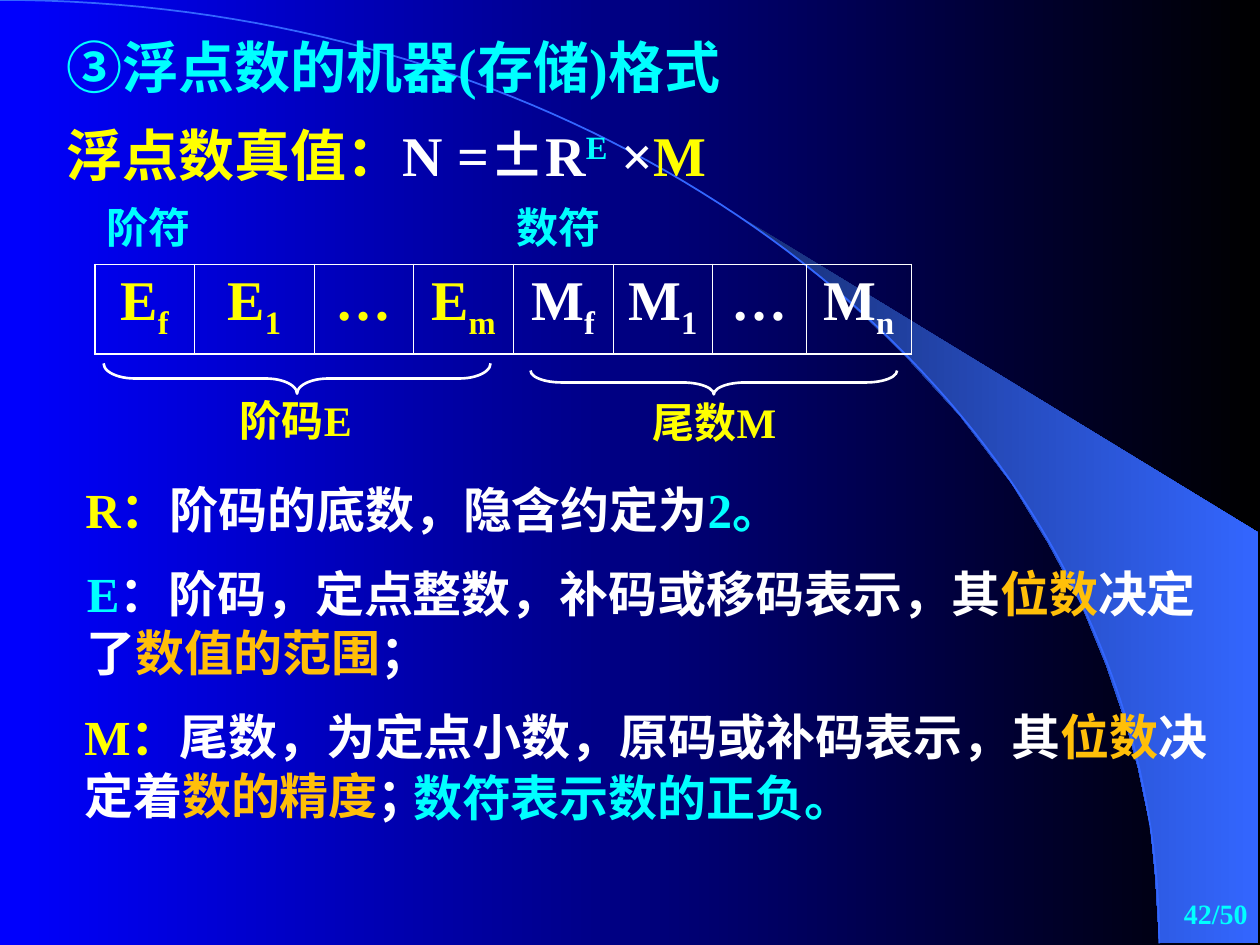
"""Build the slide on the machine storage format of floating-point numbers."""
from dataclasses import dataclass

from lxml import etree
from pptx import Presentation
from pptx import util as u
from pptx.dml import color
from pptx.enum import shapes, text
from pptx.oxml import ns


@dataclass(frozen=True)
class Theme:
    """Colours, fonts and type sizes of the slide."""
    white: str = "FFFFFF"
    yellow: str = "FFFF00"
    cyan: str = "00FFFF"
    orange: str = "FFBF09"
    blue: str = "0000FF"
    black: str = "000000"
    navy: str = "182F76"
    azure: str = "3366FF"
    latin: str = "Times New Roman"
    han: str = "Noto Sans CJK SC"
    heading: int = 32
    body: int = 28
    label: int = 24
    page: int = 16


T = Theme()
LEFT, CENTER, RIGHT = text.PP_ALIGN.LEFT, text.PP_ALIGN.CENTER, text.PP_ALIGN.RIGHT


def rgb(value):
    """Turn a hex string into a colour."""
    return color.RGBColor.from_string(value)


def apply(target, formats):
    """Set every format value on the target."""
    for name, value in formats.items():
        setattr(target, name, value)


def write(paragraph, parts, size, align=LEFT):
    """Write (text, colour[, font[, baseline]]) parts into a paragraph."""
    paragraph.alignment = align
    for words, tint, *extra in parts:
        face, baseline = (extra + [T.latin, 0][len(extra):])
        run = paragraph.add_run()
        run.text = words
        apply(run.font, {"size": u.Pt(size), "bold": True, "name": face})
        run.font.color.rgb = rgb(tint)
        properties = run._r.get_or_add_rPr()
        etree.SubElement(properties, ns.qn("a:ea")).set("typeface", T.han)
        if baseline:
            properties.set("baseline", str(baseline * 1000))


def add_words(slide, box, parts, size, align=LEFT, **formats):
    """Add a wrapped text box holding one paragraph."""
    frame = slide.shapes.add_textbox(*map(u.Cm, box)).text_frame
    apply(frame, {"word_wrap": True,
                  "auto_size": text.MSO_AUTO_SIZE.SHAPE_TO_FIT_TEXT, **formats})
    write(frame.paragraphs[0], parts, size, align)


def set_gradient(fill, start, end):
    """Fill from left to right with two colours."""
    fill.gradient()
    fill.gradient_angle = 0
    for stop, tint in zip(fill.gradient_stops, (start, end)):
        stop.color.rgb = rgb(tint)


def set_outline(shape, tint, width):
    """Leave a shape unfilled with a plain outline."""
    shape.shadow.inherit = False
    shape.fill.background()
    shape.line.color.rgb = rgb(tint)
    shape.line.width = u.Pt(width)


def add_outline(slide, points, close):
    """Add a freeform through points given in centimetres."""
    start, *rest = [(u.Cm(x), u.Cm(y)) for x, y in points]
    builder = slide.shapes.build_freeform(*start)
    builder.add_line_segments(rest, close=close)
    shape = builder.convert_to_shape()
    shape.shadow.inherit = False
    return shape


def bezier(controls, steps=80):
    """List points along a cubic curve."""
    def along(t, axis):
        weights = ((1 - t) ** 3, 3 * t * (1 - t) ** 2, 3 * t * t * (1 - t), t ** 3)
        return sum(w * point[axis] for w, point in zip(weights, controls))
    return [(along(i / steps, 0), along(i / steps, 1)) for i in range(steps + 1)]


def add_backdrop(slide):
    """Draw the gradient, the light beam and the globe edge."""
    set_gradient(slide.background.fill, T.blue, T.black)
    beam = add_outline(slide, [
        (23.37, 19), (25.37, 19.02), (25.37, 10.74), (14.96, 4.39), (15.85, 5.05),
        (16.59, 5.64), (17.4, 6.35), (18.19, 7.11), (19.35, 8.38), (20.4, 9.75),
        (21.13, 10.95), (21.79, 12.17), (22.3, 13.41), (22.68, 14.53),
        (22.94, 15.47), (23.19, 16.66), (23.29, 17.68)], True)
    set_gradient(beam.fill, T.navy, T.azure)
    beam.line.fill.background()
    globe = bezier([(0, 0), (12.9, 0), (23.37, 8.51), (23.37, 19.02)])
    set_outline(add_outline(slide, globe, False), T.azure, 1)


def add_brace(slide, center_x, center_y, depth, span):
    """Add a brace that points down, centred on a place."""
    brace = slide.shapes.add_shape(
        shapes.MSO_SHAPE.LEFT_BRACE, u.Cm(center_x - depth / 2),
        u.Cm(center_y - span / 2), u.Cm(depth), u.Cm(span))
    brace.rotation = 270
    brace.adjustments[0] = 0.63 / depth
    set_outline(brace, T.white, 1.5)


def set_borders(cell, widths):
    """Give the cell white borders with a width in points for each side."""
    properties = cell._tc.get_or_add_tcPr()
    for place, (side, width) in enumerate(widths.items()):
        line = etree.Element(ns.qn(f"a:ln{side}"), w=str(u.Pt(width)))
        solid = etree.SubElement(line, ns.qn("a:solidFill"))
        etree.SubElement(solid, ns.qn("a:srgbClr"), val=T.white)
        properties.insert(place, line)


def add_fields(slide):
    """Add the table of exponent and mantissa bits."""
    bits = [("E", "f"), ("E", "1"), ("…", ""), ("E", "m"),
            ("M", "f"), ("M", "1"), ("…", ""), ("M", "n")]
    widths = [2.01, 2.41, 2.01, 2.01, 2.01, 2.01, 1.88, 2.13]
    outer, inner = 1.08, 0.45
    fields = slide.shapes.add_table(1, len(bits), u.Cm(1.91), u.Cm(5.33),
                                    u.Cm(sum(widths)), u.Cm(1.8)).table
    apply(fields, {"first_row": False, "horz_banding": False})
    fields.rows[0].height = u.Cm(1.8)
    last = len(bits) - 1
    for i, ((letter, index), width) in enumerate(zip(bits, widths)):
        fields.columns[i].width = u.Cm(width)
        cell = fields.cell(0, i)
        cell.fill.background()
        set_borders(cell, {"L": inner if i else outer,
                           "R": inner if i < last else outer,
                           "T": outer, "B": outer})
        tint = T.yellow if i < 4 else T.white
        parts = [(letter, tint)] + ([(index, tint, T.latin, -25)] if index else [])
        write(cell.text_frame.paragraphs[0], parts, T.heading, CENTER)


def main():
    """Assemble and save the slide."""
    deck = Presentation()
    apply(deck, {"slide_width": u.Cm(25.4), "slide_height": u.Cm(19.05)})
    slide = deck.slides.add_slide(deck.slide_layouts[6])
    add_backdrop(slide)

    add_words(slide, (1.09, 2.31, 17.58, 1.63), [
        ("浮点数真值：", T.yellow), ("N =", T.white), ("±", T.white, T.han),
        ("R", T.white), ("E", T.cyan, T.latin, 30), (" ×", T.white),
        ("M", T.yellow)], T.heading)
    for x, y, words, tint, face in (
            (4.06, 7.82, "阶码E", T.yellow, T.latin),
            (12.5, 7.87, "尾数M", T.yellow, T.latin),
            (1.09, 3.94, "阶符", T.cyan, T.han),
            (9.35, 3.94, "数符", T.cyan, T.han)):
        add_words(slide, (x, y, 3.81, 1.27), [(words, tint, face)], T.label, CENTER)
    add_brace(slide, 5.99, 7.63, 0.61, 7.8)
    add_brace(slide, 14.39, 7.71, 0.48, 7.39)

    for box, parts in (
            ((1.47, 9.55, 15.39, 1.45), [
                ("R：", T.yellow), ("阶码的底数，隐含约定为", T.white),
                ("2。", T.cyan)]),
            ((1.5, 11.23, 23.77, 2.64), [
                ("E", T.cyan), ("：阶码，定点整数，补码或移码表示，其", T.white),
                ("位数", T.orange), ("决定了", T.white),
                ("数值的范围", T.orange), ("；", T.white)]),
            ((1.45, 14.12, 23.65, 2.64), [
                ("M：", T.yellow), ("尾数，为定点小数，原码或补码表示，其", T.white),
                ("位数", T.orange), ("决定着", T.white),
                ("数的精度", T.orange), ("；", T.white)]),
            ((8.08, 15.34, 11.23, 1.45), [("数符表示数的正负。", T.cyan, T.han)])):
        add_words(slide, box, parts, T.body)

    add_words(slide, (1.09, 0.53, 17.58, 1.63), [
        ("③", T.cyan, T.han), ("浮点数的机器(存储)格式", T.cyan)], T.heading)
    add_fields(slide)
    add_words(slide, (20.12, 17.78, 5.28, 1.27), [("42/50", T.cyan)], T.page, RIGHT,
              auto_size=text.MSO_AUTO_SIZE.NONE, vertical_anchor=text.MSO_ANCHOR.MIDDLE)
    deck.save("out.pptx")


if __name__ == "__main__":
    main()
